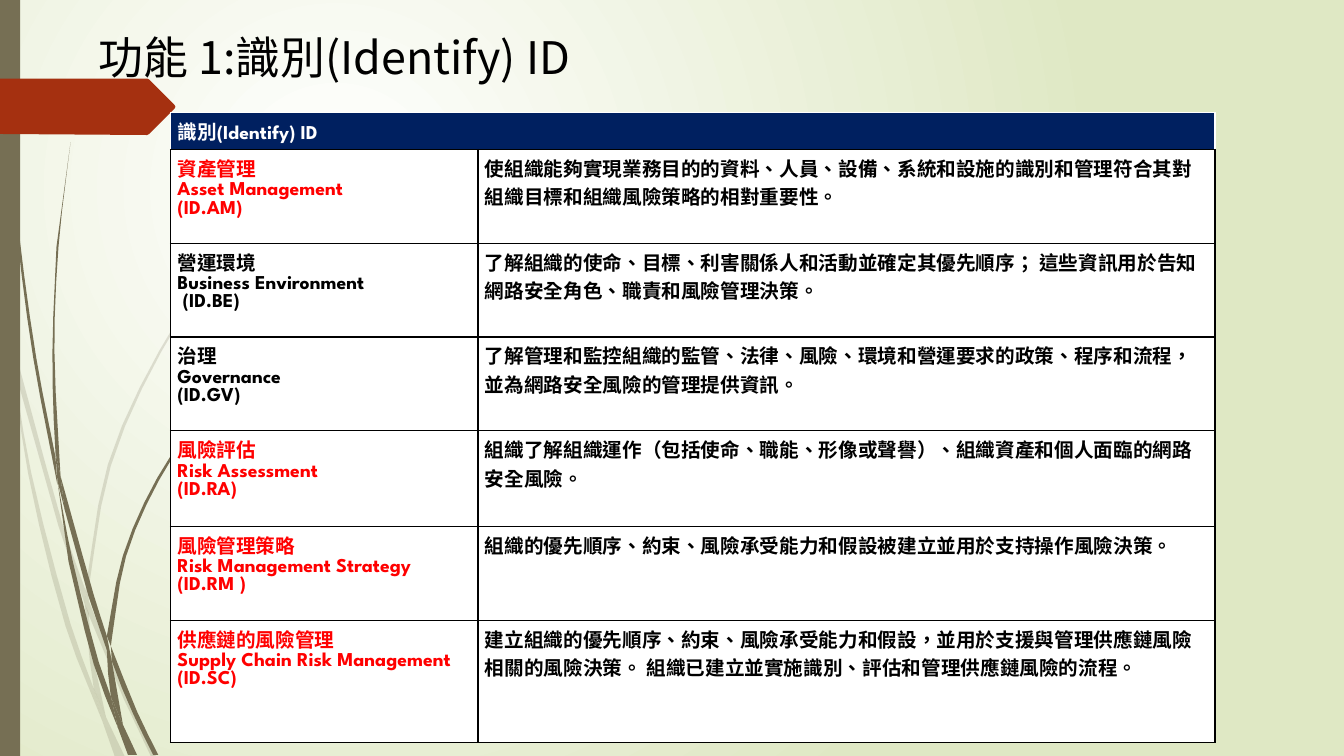
from dataclasses import dataclass
from math import hypot
from typing import Optional

from lxml.etree import SubElement
from pptx import Presentation
from pptx.dml.color import RGBColor
from pptx.enum.shapes import MSO_SHAPE
from pptx.oxml.ns import qn
from pptx.util import Inches, Pt

# Grid: one cell is a hundredth of an inch
CELL = Inches(0.01)
WIDE, HIGH = 1333, 750

WHITE = RGBColor(0xFF, 0xFF, 0xFF)
BLACK = RGBColor(0, 0, 0)
RED = RGBColor(0xFF, 0, 0)
NAVY = RGBColor(0, 0x20, 0x60)
LIME = RGBColor(0xDF, 0xE8, 0xC4)
MOSS = RGBColor(0x76, 0x6F, 0x54)
RUST = RGBColor(0xA5, 0x30, 0x10)
SPARTAN, NOTO, ARIAL = "League Spartan", "Noto Sans CJK SC", "Arial"

Point = tuple[float, float]


@dataclass
class Topic:
    name: str
    label: str
    code: str
    about: str
    high: int = 93
    color: RGBColor = RED
    face: str = SPARTAN


TOPICS = [
    Topic("資產管理", "Asset Management", "(ID.AM)",
          "使組織能夠實現業務目的的資料、人員、設備、系統和設施的識別和管理符合其對組織目標和組織風險策略的相對重要性。"),
    Topic("營運環境", "Business Environment", " (ID.BE)",
          "了解組織的使命、目標、利害關係人和活動並確定其優先順序； 這些資訊用於告知網路安全角色、職責和風險管理決策。",
          color=BLACK, face=ARIAL),
    Topic("治理", "Governance", "(ID.GV)",
          "了解管理和監控組織的監管、法律、風險、環境和營運要求的政策、程序和流程，並為網路安全風險的管理提供資訊。",
          color=BLACK),
    Topic("風險評估", "Risk Assessment", "(ID.RA)",
          "組織了解組織運作（包括使命、職能、形像或聲譽）、組織資產和個人面臨的網路安全風險。", high=95),
    Topic("風險管理策略", "Risk Management Strategy", "(ID.RM )",
          "組織的優先順序、約束、風險承受能力和假設被建立並用於支持操作風險決策。"),
    Topic("供應鏈的風險管理", "Supply Chain Risk Management", "(ID.SC)",
          "建立組織的優先順序、約束、風險承受能力和假設，並用於支援與管理供應鏈風險相關的風險決策。 "
          "組織已建立並實施識別、評估和管理供應鏈風險的流程。", high=121),
]

# Grass blades: knots as column,row; a bar starts a new smooth side
PALE = [
    "11,350 0,282 | 0,299 11,350",
    "58,522 84,599 | 85,586 62,520 14,345 | 17,376 58,522",
    "88,596 88,610 | 123,694 150,751 | 155,751 127,692 88,596",
    "11,350 28,470 65,621 101,714 | 93,683 70,619 31,469 11,350",
    "84,599 93,683 105,711 | 91,646 88,608 84,599",
    "88,596 88,584 110,462 160,349 229,245 312,154 | "
    "312,153 228,244 158,348 107,461 85,584 85,586",
    "93,683 101,714 114,751 | 124,751 105,711 93,683",
    "84,599 88,610 | 88,596 85,586",
]
DARK = [
    "4,0 7,110 17,233 33,355 57,481 | 55,453 36,355 19,232 8,109 4,0 | 3,0",
    "60,472 64,505 | 88,592 106,645 | 106,631 93,590 60,472",
    "110,641 111,656 132,708 152,749 | 157,749 136,706 110,641",
    "110,691 98,657 72,556 57,477 | 68,557 93,659 117,722 | 110,691",
    "60,472 54,349 58,245 70,141 | 56,245 52,349 55,449 60,472",
    "55,449 57,477 64,505 | 60,472 55,449",
    "110,641 111,633 125,552 158,476 205,406 261,344 | "
    "260,344 204,405 156,474 122,551 106,631",
    "106,645 110,691 122,719 | 111,656 106,631",
    "110,691 117,722 127,749 | 136,749 122,719 110,691",
]
ARROW = [(0, 78), (146, 78), (148, 79), (173, 104), (174, 106),
         (173, 108), (148, 133), (146, 134), (0, 133)]


def write(para, text: str, *, size: int, color: RGBColor, face: str,
          bold: bool = False, east: Optional[str] = None) -> None:
    run = para.add_run()
    run.text = text
    font = run.font
    font.size, font.bold, font.name = Pt(size), bold, face
    font.color.rgb = color
    mark = run._r.get_or_add_rPr()
    mark.set("lang", "zh-TW")
    if east:
        SubElement(mark, qn("a:ea")).set("typeface", east)


def paint(shape, color: RGBColor, alpha: int = 100) -> None:
    shape.shadow.inherit = False
    shape.fill.solid()
    shape.fill.fore_color.rgb = color
    shape.line.fill.background()
    if alpha < 100:
        tint = next(shape._element.spPr.iter(qn("a:srgbClr")))
        SubElement(tint, qn("a:alpha")).set("val", str(alpha * 1000))


def slope(side: list[Point], i: int) -> Point:
    (ax, ay), (bx, by) = side[max(i - 1, 0)], side[min(i + 1, len(side) - 1)]
    size = hypot(bx - ax, by - ay) or 1
    return (bx - ax) / size, (by - ay) / size


def smooth(side: list[Point]) -> list[Point]:
    """Join the knots with cubic curves, adding a midpoint or two to long spans."""
    out = side[:1]
    for i, (a, b) in enumerate(zip(side, side[1:])):
        reach = hypot(b[0] - a[0], b[1] - a[1])
        u, v = slope(side, i), slope(side, i + 1)
        steps = min(3, 1 + int(reach // 40))
        for t in (n / steps for n in range(1, steps + 1)):
            s = 1 - t
            out.append(tuple(
                a[k] * s * s * (s + 3 * t) + b[k] * t * t * (t + 3 * s)
                + reach * s * t * (u[k] * s - v[k] * t) for k in (0, 1)))
    return out


def trace(shapes, dots: list[Point], color: RGBColor, alpha: int = 100) -> None:
    spots = [(round(x * CELL), round(y * CELL)) for x, y in dots]
    form = shapes.build_freeform(*spots[0])
    form.add_line_segments(spots[1:], close=True)
    paint(form.convert_to_shape(), color, alpha)


def grow(shapes, blades: list[str], alpha: int) -> None:
    for blade in blades:
        dots: list[Point] = []
        for side in blade.split("|"):
            dots += smooth([tuple(map(float, knot.split(","))) for knot in side.split()])
        trace(shapes, dots, MOSS, alpha)


def style(cell, fill: RGBColor, edge: RGBColor) -> None:
    cell.margin_left = cell.margin_right = 7 * CELL
    cell.margin_top = cell.margin_bottom = 4 * CELL
    props = cell._tc.get_or_add_tcPr()
    for tag, color in (("lnL", edge), ("lnR", edge), ("lnT", edge), ("lnB", BLACK)):
        line = SubElement(props, qn(f"a:{tag}"), w=str(Pt(1)))
        SubElement(SubElement(line, qn("a:solidFill")), qn("a:srgbClr"), val=str(color))
    cell.fill.solid()
    cell.fill.fore_color.rgb = fill


def tabulate(shapes) -> None:
    highs = [24] + [topic.high for topic in TOPICS]
    grid = shapes.add_table(len(highs), 2, 169 * CELL, 112 * CELL,
                            1036 * CELL, sum(highs) * CELL).table
    grid.first_row = grid.horz_banding = False
    for col, wide in zip(grid.columns, (305, 731)):
        col.width = wide * CELL
    for row, high in zip(grid.rows, highs):
        row.height = high * CELL
    for i in range(len(highs)):
        for j in (0, 1):
            style(grid.cell(i, j), WHITE if i else NAVY, BLACK if i else WHITE)
    head = grid.cell(0, 0)
    head.merge(grid.cell(0, 1))
    write(head.text_frame.paragraphs[0], "識別(Identify) ID",
          size=14, color=WHITE, face=SPARTAN, bold=True)
    for i, topic in enumerate(TOPICS, 1):
        frame = grid.cell(i, 0).text_frame
        lines = ((topic.name, topic.face), (topic.label, SPARTAN), (topic.code, SPARTAN))
        for n, (text, face) in enumerate(lines):
            para = frame.add_paragraph() if n else frame.paragraphs[0]
            write(para, text, size=14, color=topic.color, face=face, bold=True)
        write(grid.cell(i, 1).text_frame.paragraphs[0], topic.about,
              size=14, color=BLACK, face=SPARTAN, bold=True)


def shade(slide) -> None:
    fill = slide.background.fill
    fill.gradient()
    for stop, color in zip(fill.gradient_stops, (WHITE, LIME)):
        stop.color.rgb = color
    grad = next(slide.element.iter(qn("a:gradFill")))
    grad.remove(grad.find(qn("a:lin")))
    ring = SubElement(grad, qn("a:path"))
    ring.set("path", "circle")
    SubElement(ring, qn("a:fillToRect"), l="50000", t="50000", r="100000", b="100000")


def main() -> None:
    deck = Presentation()
    deck.slide_width, deck.slide_height = WIDE * CELL, HIGH * CELL
    slide = deck.slides.add_slide(deck.slide_layouts[6])
    shapes = slide.shapes
    # Backdrop
    shade(slide)
    grow(shapes, PALE, 20)
    grow(shapes, DARK, 100)
    paint(shapes.add_shape(MSO_SHAPE.RECTANGLE, 0, 0, 20 * CELL, HIGH * CELL), MOSS)
    trace(shapes, ARROW, RUST)
    # Table and title
    tabulate(shapes)
    title = shapes.add_textbox(88 * CELL, 25 * CELL, 626 * CELL, 64 * CELL).text_frame
    title.word_wrap = True
    write(title.paragraphs[0], "功能 1:識別(Identify) ID",
          size=32, color=BLACK, face=NOTO, east=NOTO)
    deck.save("out.pptx")


if __name__ == "__main__":
    main()
